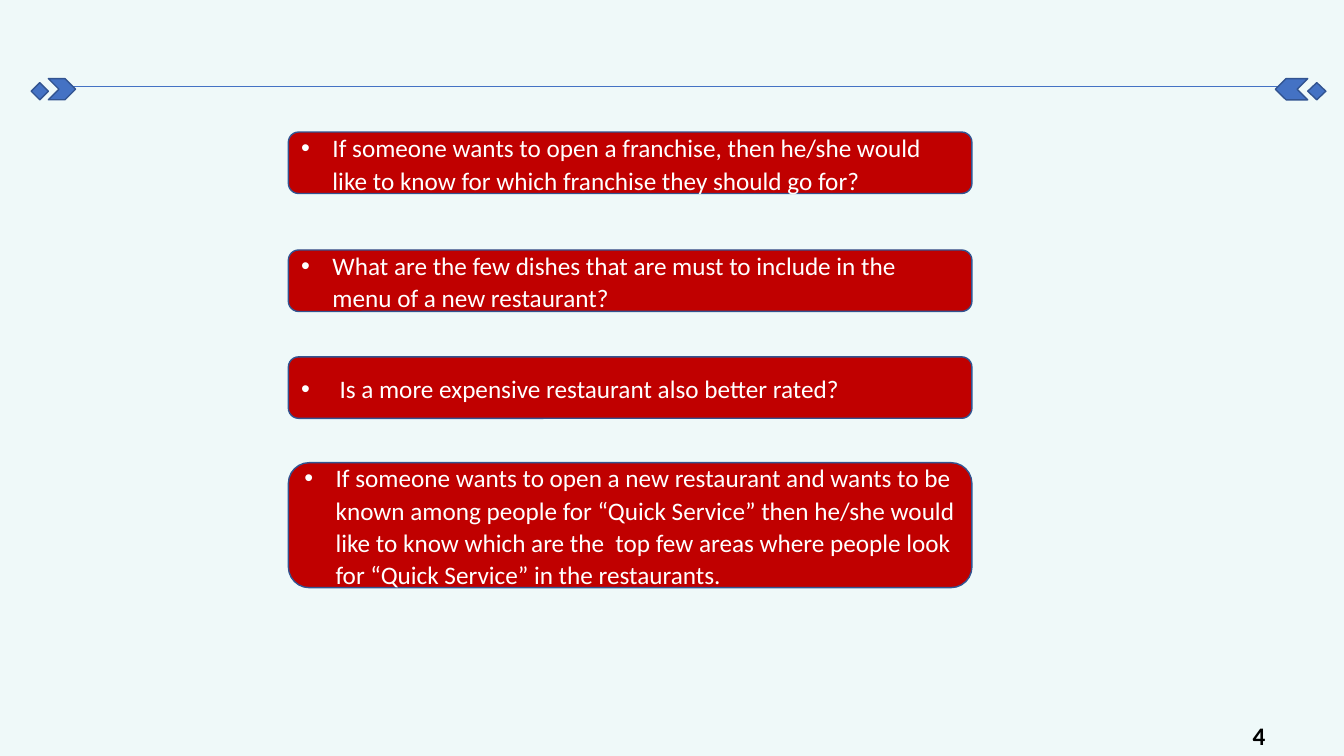
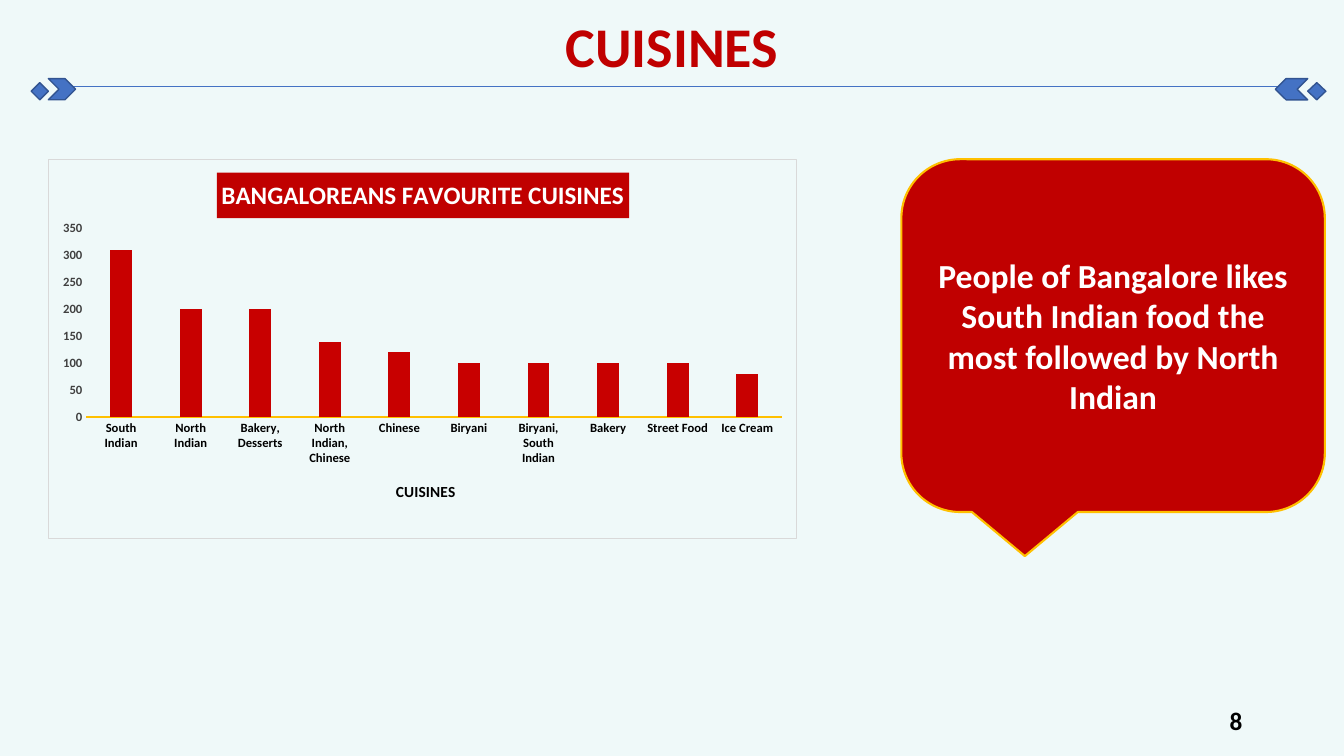
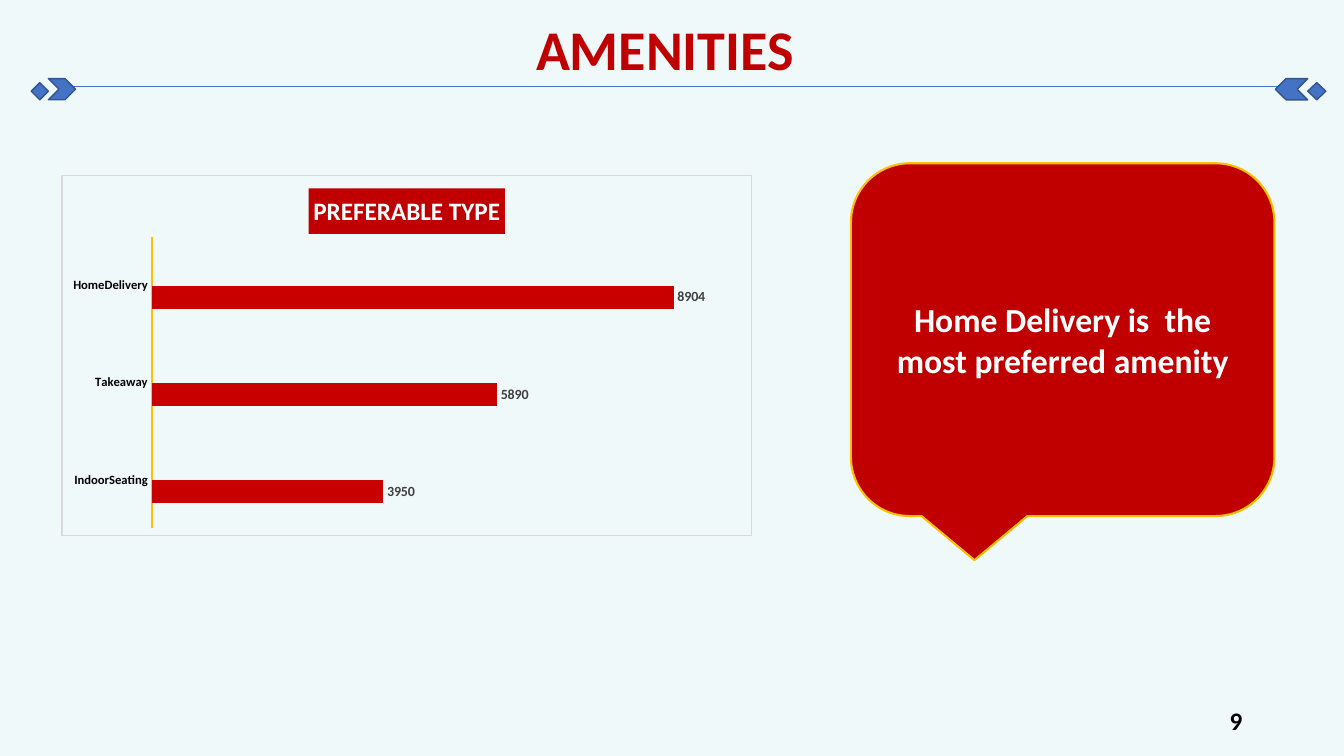
import pptx
import pptx.chart.data
import pptx.dml.color
import pptx.enum.chart
import pptx.enum.shapes
import pptx.enum.text
import pptx.oxml
import pptx.oxml.ns
import pptx.util

RGBColor = pptx.dml.color.RGBColor
SHAPE = pptx.enum.shapes.MSO_SHAPE
ALIGN = pptx.enum.text.PP_ALIGN
ANCHOR = pptx.enum.text.MSO_ANCHOR
CHART = pptx.enum.chart.XL_CHART_TYPE
TICK = pptx.enum.chart.XL_TICK_MARK
LABEL = pptx.enum.chart.XL_LABEL_POSITION
qn = pptx.oxml.ns.qn

EMU_PER_PX = 9144
FONT = "Calibri"
PALE = RGBColor(0xEF, 0xF9, 0xF9)
RED = RGBColor(0xC0, 0x00, 0x00)
BAR_RED = RGBColor(0xC8, 0x00, 0x00)
ROSE = RGBColor(0xDB, 0xA1, 0x9D)
BLUE = RGBColor(0x44, 0x72, 0xC4)
NAVY = RGBColor(0x32, 0x54, 0x91)
GOLD = RGBColor(0xFF, 0xC0, 0x00)
GREY = RGBColor(0x40, 0x40, 0x40)
WHITE = RGBColor(0xFF, 0xFF, 0xFF)
BLACK = RGBColor(0x00, 0x00, 0x00)

ORNAMENTS = [
    (SHAPE.CHEVRON, (48, 78, 27, 21), 0),
    (SHAPE.DIAMOND, (31, 82, 17, 17), 0),
    (SHAPE.CHEVRON, (1265, 78, 32, 21), 180),
    (SHAPE.DIAMOND, (1297, 82, 18, 17), 0),
]
QUESTIONS = [
    (131, 61, 31, "If someone wants to open a franchise, then he/she would like to know "
                  "for which franchise they should go for?"),
    (248, 61, 31, "What are the few dishes that are must to include in the menu of a new restaurant?"),
    (354, 61, 38, "Is a more expensive restaurant also better rated?"),
    (459, 124, 31, "If someone wants to open a new restaurant and wants to be known among people "
                   "for “Quick Service” then he/she would like to know which are the  top few areas "
                   "where people look for “Quick Service” in the restaurants."),
]
CUISINES = {
    "South Indian": 310, "North Indian": 200, "Bakery, Desserts": 200,
    "North Indian, Chinese": 140, "Chinese": 120, "Biryani": 100,
    "Biryani, South Indian": 100, "Bakery": 100, "Street Food": 100, "Ice Cream": 80,
}
AMENITIES = {"IndoorSeating": 3950, "Takeaway": 5890, "HomeDelivery": 8904}


def px(count):
    return pptx.util.Emu(count * EMU_PER_PX)


def frame(bounds):
    return [px(length) for length in bounds]


def style_font(font, size, color, bold=False):
    font.name = FONT
    font.size = pptx.util.Pt(size)
    font.bold = bold
    font.color.rgb = color


def style_line(line, color, width):
    line.color.rgb = color
    line.width = pptx.util.Pt(width)


def write(para, text, size, color, bold=False, align=ALIGN.LEFT):
    para.alignment = align
    span = para.add_run()
    span.text = text
    style_font(span.font, size, color, bold)


def add_box(page, kind, bounds, fill, line, width):
    box = page.shapes.add_shape(kind, *frame(bounds))
    box.shadow.inherit = False
    box.fill.solid()
    box.fill.fore_color.rgb = fill
    style_line(box.line, line, width)
    box.text_frame.word_wrap = True
    box.text_frame.vertical_anchor = ANCHOR.MIDDLE
    return box


def add_text(page, bounds, text, size, color, align, anchor):
    box = page.shapes.add_textbox(*frame(bounds))
    box.text_frame.word_wrap = True
    box.text_frame.vertical_anchor = anchor
    write(box.text_frame.paragraphs[0], text, size, color, True, align)


def add_header_rule(page):
    rule = page.shapes.add_connector(
        pptx.enum.shapes.MSO_CONNECTOR.STRAIGHT, px(57), px(86), px(1274), px(86))
    style_line(rule.line, BLUE, 0.5)
    properties = rule.element.find(qn("p:spPr"))
    properties.append(pptx.oxml.parse_xml(f'<a:effectLst {pptx.oxml.ns.nsdecls("a")}/>'))
    for kind, bounds, rotation in ORNAMENTS:
        add_box(page, kind, bounds, BLUE, NAVY, 1).rotation = rotation


def add_page(deck, number, number_left, number_top):
    page = deck.slides.add_slide(deck.slide_layouts[6])
    add_header_rule(page)
    add_text(page, (number_left, number_top, 300, 40), str(number), 18, BLACK,
             ALIGN.RIGHT, ANCHOR.MIDDLE)
    return page


def add_title(page, left, top, text):
    add_text(page, (left, top, 667, 77), text, 40, RED, ALIGN.CENTER, ANCHOR.TOP)


def add_question(page, top, height, indent, text):
    box = add_box(page, SHAPE.ROUNDED_RECTANGLE, (286, top, 678, height), RED, NAVY, 1)
    para = box.text_frame.paragraphs[0]
    para.line_spacing = 1.07
    para.space_after = pptx.util.Pt(8)
    write(para, text, 18, WHITE)
    properties = para._p.get_or_add_pPr()
    properties.set("marL", str(px(indent)))
    properties.set("indent", str(px(-indent)))
    for markup in ('<a:buFont {} typeface="Arial"/>', '<a:buChar {} char="•"/>'):
        properties.append(pptx.oxml.parse_xml(markup.format(pptx.oxml.ns.nsdecls("a"))))


def add_callout(page, left, top, text):
    box = add_box(page, SHAPE.ROUNDED_RECTANGULAR_CALLOUT, (left, top, 420, 350), RED, GOLD, 1.5)
    write(box.text_frame.paragraphs[0], text, 24, WHITE, True, ALIGN.CENTER)


def set_layout(parent, index, target, **fractions):
    for layout in parent.findall(qn("c:layout")):
        parent.remove(layout)
    inner = f'<c:layoutTarget val="{target}"/>' if target else ""
    modes = "".join(f'<c:{key}Mode val="edge"/>' for key in "xy")
    values = "".join(f'<c:{key} val="{value}"/>' for key, value in fractions.items())
    parent.insert(index, pptx.oxml.parse_xml(
        f'<c:layout {pptx.oxml.ns.nsdecls("c")}><c:manualLayout>{inner}{modes}{values}'
        '</c:manualLayout></c:layout>'))


def frame_chart(chart):
    chart.element.find(qn("c:chart")).addnext(pptx.oxml.parse_xml(
        f'<c:spPr {pptx.oxml.ns.nsdecls("c", "a")}>'
        f'<a:solidFill><a:srgbClr val="{PALE}"/></a:solidFill>'
        '<a:ln w="9525"><a:solidFill><a:srgbClr val="D9D9D9"/></a:solidFill></a:ln></c:spPr>'))


def add_bars(page, kind, bounds, title, values, series_count, overlap, plot_area):
    data = pptx.chart.data.CategoryChartData()
    data.categories = list(values)
    data.add_series("Series 1", list(values.values()))
    for extra in range(1, series_count):
        data.add_series(f"Series {extra + 1}", [None] * len(values))
    chart = page.shapes.add_chart(kind, *frame(bounds), data).chart
    style_font(chart.font, 10, BLACK)
    frame_chart(chart)
    chart.has_legend = False
    chart.has_title = True
    write(chart.chart_title.text_frame.paragraphs[0], title, 18, WHITE, True, ALIGN.CENTER)
    chart.chart_title.format.fill.solid()
    chart.chart_title.format.fill.fore_color.rgb = RED
    plot = chart.plots[0]
    plot.vary_by_categories = False
    plot.gap_width = 219
    plot.overlap = overlap
    for series, color in zip(plot.series, (BAR_RED, ROSE)):
        series.invert_if_negative = False
        series.format.fill.solid()
        series.format.fill.fore_color.rgb = color
    for axis, color in ((chart.category_axis, BLACK), (chart.value_axis, GREY)):
        axis.has_major_gridlines = False
        axis.major_tick_mark = axis.minor_tick_mark = TICK.NONE
        style_font(axis.tick_labels.font, 9, color, True)
    style_line(chart.category_axis.format.line, GOLD, 1.5)
    chart.value_axis.format.line.fill.background()
    chart.value_axis.minimum_scale = 0
    set_layout(chart.element.find(".//" + qn("c:plotArea")), 0, "inner", **plot_area)
    return chart


def add_cuisine_chart(page):
    chart = add_bars(page, CHART.COLUMN_CLUSTERED, (48, 158, 743, 377),
                     "BANGALOREANS FAVOURITE CUISINES", CUISINES, 1, -27,
                     {"x": 0.05, "y": 0.18, "w": 0.93, "h": 0.5})
    chart.value_axis.maximum_scale = 350
    chart.value_axis.major_unit = 50
    axis_title = chart.category_axis.axis_title
    write(axis_title.text_frame.paragraphs[0], "CUISINES", 11, BLACK, True, ALIGN.CENTER)
    set_layout(axis_title.element, 1, None, x=0.46, y=0.84)


def add_amenity_chart(page):
    chart = add_bars(page, CHART.BAR_CLUSTERED, (61, 174, 685, 358),
                     "PREFERABLE TYPE", AMENITIES, 2, 0,
                     {"x": 0.13, "y": 0.17, "w": 0.85, "h": 0.81})
    chart.value_axis.maximum_scale = 10000
    chart.value_axis.visible = False
    for series in chart.plots[0].series:
        labels = series.data_labels
        labels.show_value = True
        labels.position = LABEL.OUTSIDE_END
        style_font(labels.font, 10, GREY, True)


def main():
    deck = pptx.Presentation()
    deck.slide_width, deck.slide_height = px(1333), px(750)
    background = deck.slide_master.background.fill
    background.solid()
    background.fore_color.rgb = PALE

    questions = add_page(deck, 4, 965, 710)
    for question in QUESTIONS:
        add_question(questions, *question)

    cuisines = add_page(deck, 8, 942, 695)
    add_title(cuisines, 333, 7, "CUISINES")
    add_cuisine_chart(cuisines)
    add_callout(cuisines, 894, 158,
                "People of Bangalore likes South Indian food the most followed by North Indian")

    amenities = add_page(deck, 9, 942, 695)
    add_title(amenities, 326, 9, "AMENITIES")
    add_amenity_chart(amenities)
    add_callout(amenities, 844, 162, "Home Delivery is  the most preferred amenity")

    deck.save("out.pptx")


if __name__ == "__main__":
    main()
